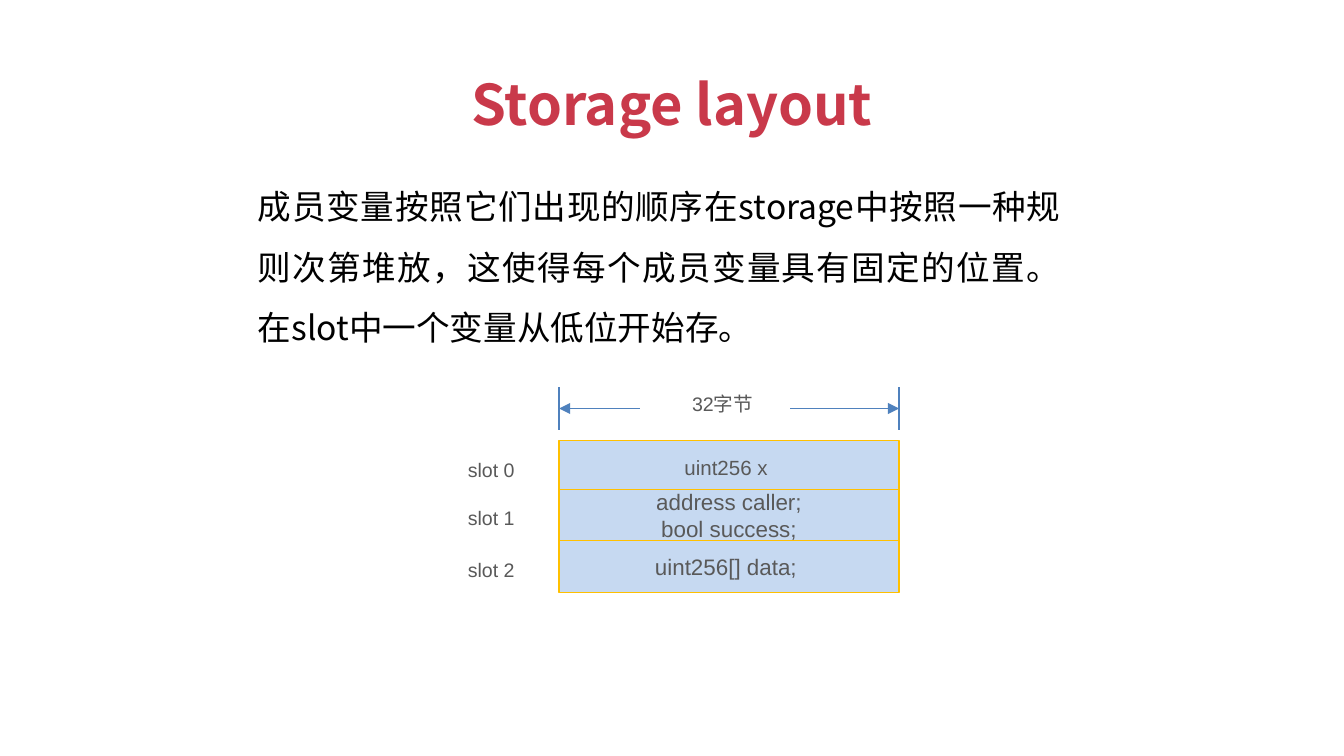
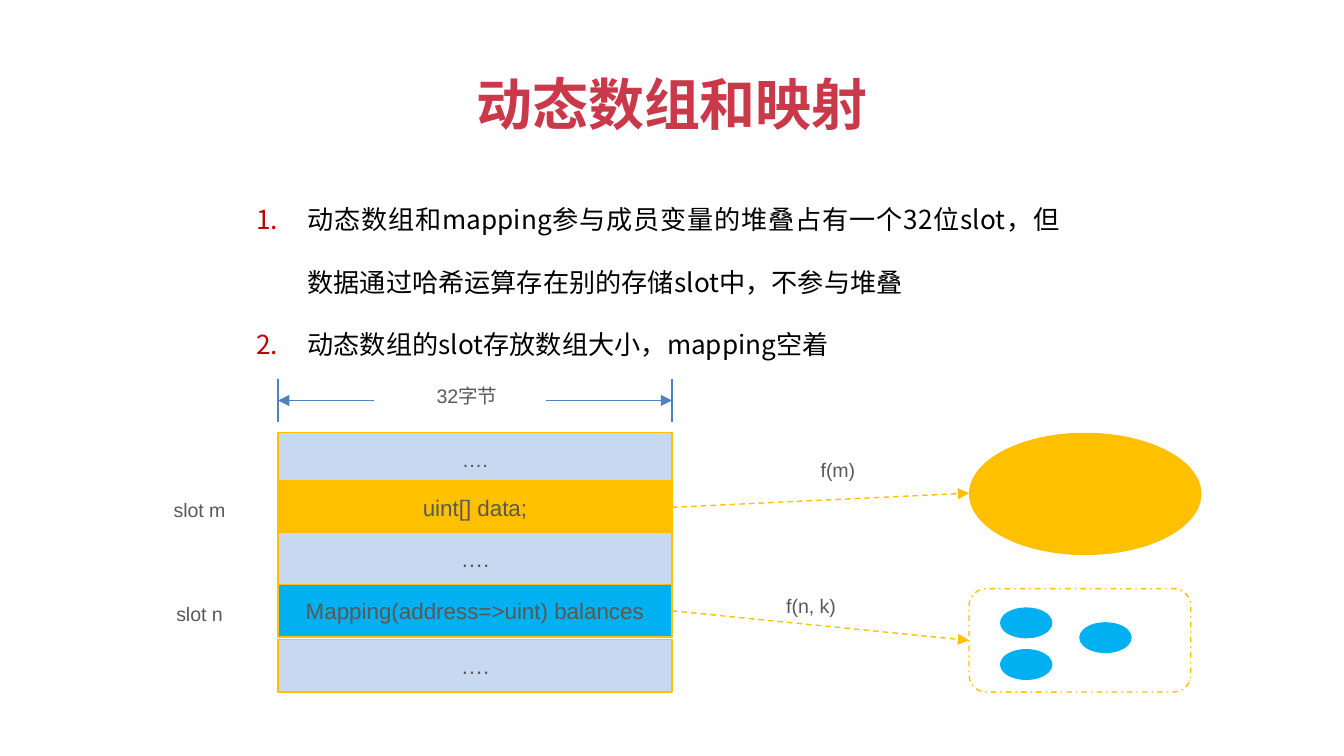
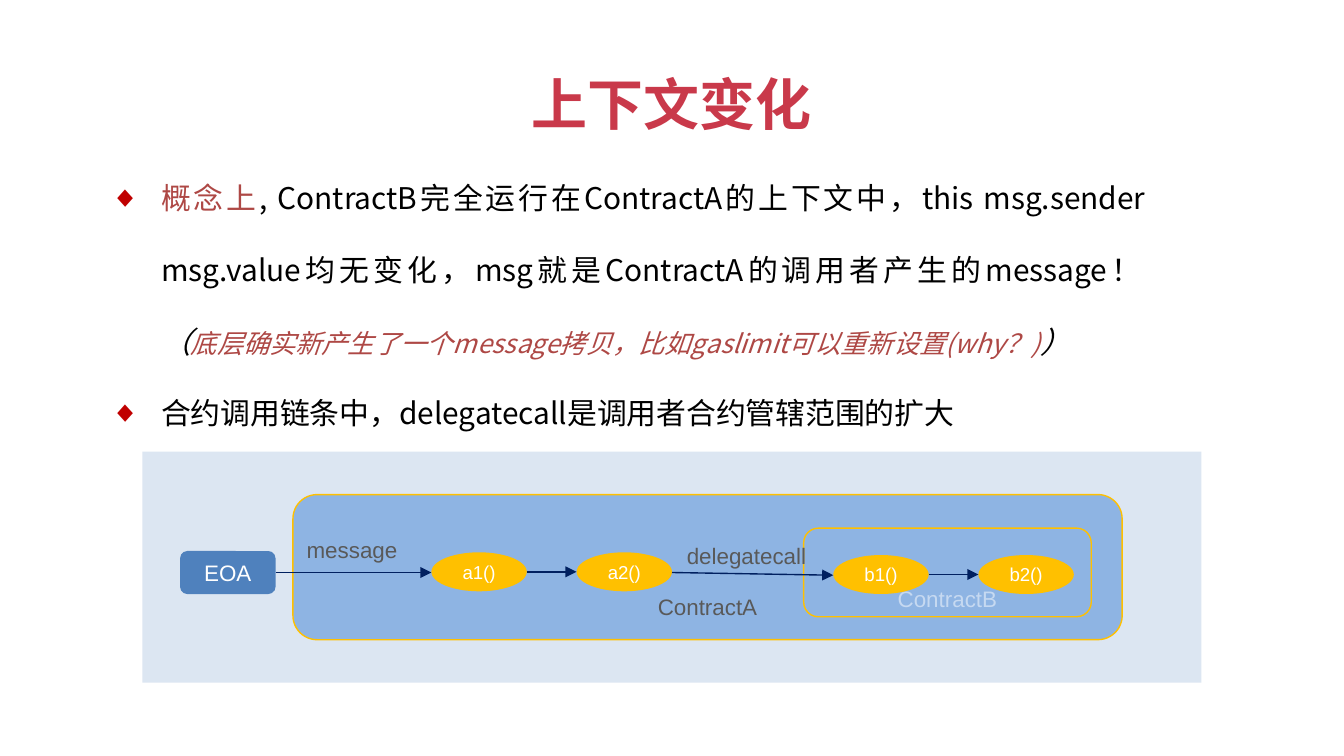
import pptx
import pptx.util
import pptx.dml.color
import pptx.enum.dml
import pptx.enum.shapes
import pptx.enum.text
from lxml import etree
import pptx.oxml.ns

COLORS = {
    "title": "C9394A", "body": "000000", "accent": "AE4845", "bullet": "C00000",
    "text": "595959", "white": "FFFFFF", "slot": "C6D9F1", "gold": "FFC000",
    "sky": "00B0F0", "blue": "4F81BD", "navy": "002060", "panel": "DCE6F2",
    "contract": "8EB4E3",
}
SANS, CJK = "Arial", "Noto Sans CJK SC"
COLS, ROWS = 100, 56.25          # grid of tenths of an inch
SLOT_H = 3.9
LABEL = {"size": 10.5}
SHAPE = pptx.enum.shapes.MSO_SHAPE
ALIGN = pptx.enum.text.PP_ALIGN
ANCHOR = pptx.enum.text.MSO_ANCHOR
DASH = pptx.enum.dml.MSO_LINE


# Basics
def grid(*cells):
    return [pptx.util.Inches(c / 10) for c in cells]


def rgb(name):
    return pptx.dml.color.RGBColor.from_string(COLORS[name])


def sub(parent, tag, **attrs):
    return etree.SubElement(parent, pptx.oxml.ns.qn(tag), attrs)


def add_run(p, text, size=12, color="text", font=SANS, **formats):
    r = p.add_run()
    r.text = text
    formats.update(size=pptx.util.Pt(size), name=font)
    for key, value in formats.items():
        setattr(r.font, key, value)
    r.font.color.rgb = rgb(color)
    sub(r.font._element, "a:ea", typeface=CJK)


def write_lines(sp, text, anchor=ANCHOR.MIDDLE, **formats):
    tf = sp.text_frame
    tf.word_wrap = True
    tf.vertical_anchor = anchor
    for i, line in enumerate(text.split("\n")):
        p = tf.add_paragraph() if i else tf.paragraphs[0]
        p.alignment = ALIGN.CENTER
        add_run(p, line, **formats)


def set_line(line, color, dash=None):
    line.color.rgb = rgb(color)
    line.width = pptx.util.Pt(0.75)
    if dash:
        line.dash_style = dash


# Elements
def add_title(s, text, width):
    sp = s.shapes.add_textbox(*grid((COLS - width) / 2, 4.7, width, 6.1))
    write_lines(sp, text, ANCHOR.TOP, size=30, color="title", font=CJK, bold=True)
    sp.text_frame.word_wrap = False
    sp.text_frame.auto_size = pptx.enum.text.MSO_AUTO_SIZE.SHAPE_TO_FIT_TEXT


def add_label(s, box, text, **formats):
    write_lines(s.shapes.add_textbox(*grid(*box)), text, **formats)


def add_box(s, kind, box, fill=None, line=None, dash=None, text="", **formats):
    sp = s.shapes.add_shape(kind, *grid(*box))
    sp.shadow.inherit = False
    if fill:
        sp.fill.solid()
        sp.fill.fore_color.rgb = rgb(fill)
    else:
        sp.fill.background()
    if line:
        set_line(sp.line, line, dash)
    else:
        sp.line.fill.background()
    if text:
        write_lines(sp, text, **formats)
    return sp


def add_line(s, start, end, color, arrow=True, dash=None, source=None, target=None):
    line = s.shapes.add_connector(
        pptx.enum.shapes.MSO_CONNECTOR.STRAIGHT, *grid(*start, *end))
    set_line(line.line, color, dash)
    if arrow:
        sub(line.line._get_or_add_ln(), "a:tailEnd", type="triangle")
    sub(line._element.spPr, "a:effectLst")
    if source:
        line.begin_connect(source, 3)
    if target:
        line.end_connect(target, 1)


def add_body(s, box, paragraphs, spacing, bullet=None):
    """Each paragraph is a list of (text, formats); "\n" is a line break."""
    tf = s.shapes.add_textbox(*grid(*box)).text_frame
    tf.word_wrap = True
    tf.vertical_anchor = ANCHOR.MIDDLE
    margin, indent = (6.7, -3.8) if bullet else (2.9, 0)
    for i, runs in enumerate(paragraphs):
        p = tf.add_paragraph() if i else tf.paragraphs[0]
        p.alignment = ALIGN.JUSTIFY
        p.line_spacing = spacing
        pPr = p._p.get_or_add_pPr()
        for key, value in zip(("marL", "indent"), grid(margin, indent)):
            pPr.set(key, str(int(value)))
        if bullet:
            sub(sub(pPr, "a:buClr"), "a:srgbClr", val=COLORS["bullet"])
        if bullet == "1.":
            sub(pPr, "a:buFont", typeface="+mj-lt")
            sub(pPr, "a:buAutoNum", type="arabicPeriod")
        elif bullet:
            sub(pPr, "a:buFont", typeface=SANS)
            sub(pPr, "a:buChar", char=bullet)
        for text, formats in runs:
            if text == "\n":
                p.add_line_break()
            else:
                add_run(p, text, **{"color": "body", "font": CJK, **formats})


def add_width_mark(s, left, width, top, label_w):
    """Dimension arrows above a stack of slots that starts at top."""
    right, y, label_x = left + width, top - 2.4, left + (8.2 if width > 28 else 7.1)
    for x in (left, right):
        add_line(s, (x, top - 4), (x, top - 0.8), "blue", arrow=False)
    add_line(s, (label_x - 1.1, y), (left, y), "blue")
    add_line(s, (label_x + label_w, y), (right, y), "blue")
    add_label(s, (label_x, top - 4.7, label_w, SLOT_H), "32字节", **LABEL)


def add_slots(s, left, width, label_w, slots):
    """Each slot is (top, text, text size, fill, name); returns the boxes."""
    add_width_mark(s, left, width, slots[0][0], label_w)
    boxes = []
    for top, text, size, fill, name in slots:
        boxes.append(add_box(s, SHAPE.RECTANGLE, (left, top, width, SLOT_H), fill,
                             "gold", text=text, size=size))
        if name:
            add_label(s, (left - label_w, top + 0.2, label_w, SLOT_H), name, **LABEL)
    return boxes


# Slides
def storage_slide(s):
    add_title(s, "Storage layout", 32.9)
    add_body(s, (15.3, 16.3, 64.6, 5.6), [[(
        "成员变量按照它们出现的顺序在storage中按照一种规则次第堆放，"
        "这使得每个成员变量具有固定的位置。在slot中一个变量从低位开始存。",
        {"size": 18})]], 1.5)
    add_slots(s, 41.6, 25.3, 10.1, [
        (32.8, "uint256 x ", 11, "slot", "slot 0"),
        (36.4, "address caller;\nbool success;", 12, "slot", "slot 1"),
        (40.2, "uint256[] data; ", 12, "slot", "slot 2"),
    ])


def mapping_slide(s):
    add_title(s, "动态数组和映射", 31.5)
    add_body(s, (15.2, 17, 64.6, 5.6), [
        [("动态数组和mapping参与成员变量的堆叠占有一个32位slot，"
          "但数据通过哈希运算存在别的存储slot中，不参与堆叠", {"size": 14})],
        [("动态数组的slot存放数组大小，mapping空着", {"size": 14})],
    ], 2.0, "1.")
    slots = add_slots(s, 20.7, 29.3, 11.7, [
        (32.2, "….", 11, "slot", None),
        (35.8, "uint[] data;", 12, "gold", "slot m"),
        (39.6, "….", 12, "slot", None),
        (43.5, "Mapping(address=>uint) balances", 12, "sky", "slot n"),
        (47.6, "….", 12, "slot", None),
    ])
    # Where the data is kept
    add_box(s, SHAPE.OVAL, (72.1, 32.2, 17.3, 9.1), "gold")
    values = add_box(s, SHAPE.ROUNDED_RECTANGLE, (72.1, 43.8, 16.5, 7.7),
                     line="gold", dash=DASH.DASH_DOT)
    for x, y in ((74.4, 45.2), (74.4, 48.3), (80.3, 46.3)):
        add_box(s, SHAPE.OVAL, (x, y, 3.9, 2.3), "sky")
    add_line(s, (50, 37.8), (72.1, 36.7), "gold", dash=DASH.DASH, source=slots[1])
    add_line(s, (50, 45.5), (72.1, 47.7), "gold", dash=DASH.DASH,
             source=slots[3], target=values)
    add_label(s, (56.5, 33, 11.7, SLOT_H), "f(m)", **LABEL)
    add_label(s, (54.5, 43.1, 11.7, SLOT_H), "f(n, k)", **LABEL)


def add_contract(s, box, name, color, bottom):
    sp = add_box(s, SHAPE.ROUNDED_RECTANGLE, box, "contract", "gold", text=name,
                 anchor=ANCHOR.BOTTOM, color=color)
    sp.text_frame.margin_bottom = grid(bottom)[0]


def add_calls(s, left, top, names):
    """A chain of two functions joined by an arrow."""
    width, pitch, mid = 7.1, 10.8, top + 1.45
    for i, name in enumerate(names):
        add_box(s, SHAPE.OVAL, (left + i * pitch, top, width, 2.9), "gold",
                text=name, size=10, color="white")
    add_line(s, (left + width, mid), (left + pitch, mid), "navy")


def context_slide(s):
    add_title(s, "上下文变化", 23.1)
    plain = {"size": 16}
    aside = {"size": 16, "italic": True}
    add_body(s, (4.3, 18.6, 81.9, 5.6), [
        [("概念上", {"size": 16, "color": "accent"}),
         (", ContractB完全运行在ContractA的上下文中，this msg.sender msg.value均无变化，"
          "msg就是ContractA的调用者产生的message！", plain),
         ("\n", {}),
         ("（", aside),
         ("底层确实新产生了一个message拷贝，比如gaslimit可以重新设置(why？)",
          {"size": 14, "color": "accent", "italic": True}),
         ("）", aside)],
        [("合约调用链条中，delegatecall是调用者合约管辖范围的扩大", plain)],
    ], 2.0, "◆")
    # Call chain
    add_box(s, SHAPE.RECTANGLE, (10.6, 33.6, 78.8, 17.2), "panel")
    add_contract(s, (21.8, 36.8, 61.7, 10.8), "ContractA", "text", 0.9)
    add_calls(s, 32.1, 41.1, ("a1()", "a2()"))
    add_contract(s, (59.8, 39.3, 21.4, 6.6), "ContractB", "slot", 0)
    add_calls(s, 62, 41.3, ("b1()", "b2()"))
    eoa = add_box(s, SHAPE.ROUNDED_RECTANGLE, (13.4, 41, 7.1, 3.2), "blue",
                  text="EOA", color="white")
    add_line(s, (20.5, 42.6), (32.1, 42.6), "navy", source=eoa)
    add_line(s, (50, 42.6), (62, 42.8), "navy")
    add_label(s, (20.9, 39.3, 10.6, 3.2), "message")
    add_label(s, (48.7, 39.7, 13.7, 3.2), "delegatecall")


def main():
    prs = pptx.Presentation()
    prs.slide_width, prs.slide_height = grid(COLS, ROWS)
    for build in (storage_slide, mapping_slide, context_slide):
        build(prs.slides.add_slide(prs.slide_layouts[6]))
    prs.save("out.pptx")


if __name__ == "__main__":
    main()
